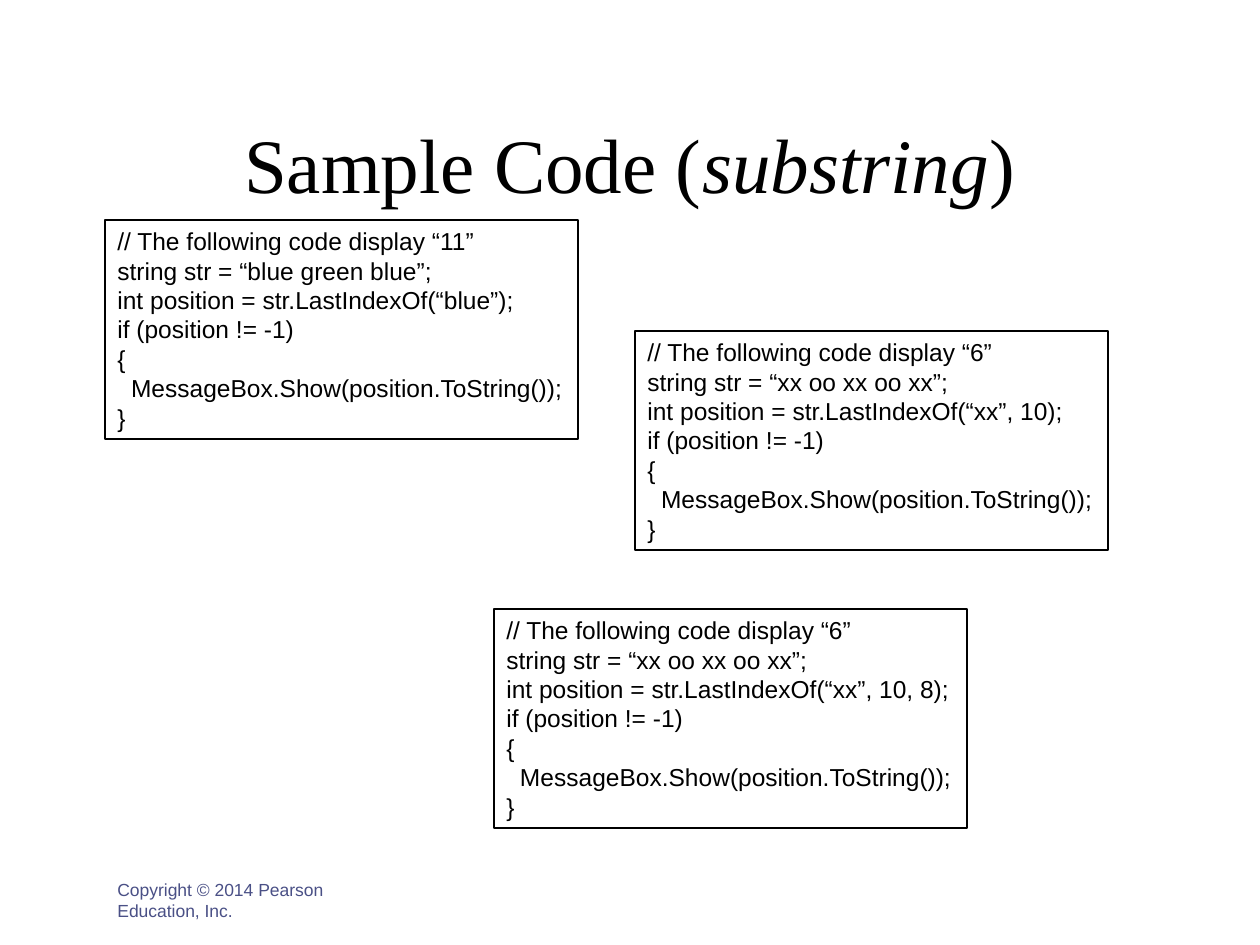
"""Build the substring sample code slide."""
from pptx import Presentation
from pptx import util as u
from pptx.dml.color import RGBColor
from pptx.enum import text

PX = u.Inches(1) / 126
COLORS = {"ink": "000000", "copyright": "4A5086"}


def px(*lengths):
    return [round(length * PX) for length in lengths]


def write(para, words, size=14, font="Arial", color="ink", italic=False):
    span = para.add_run()
    span.text = words
    span.font.size = u.Pt(size)
    span.font.name = font
    span.font.italic = italic
    span.font.color.rgb = RGBColor.from_string(COLORS[color])


deck = Presentation()
deck.slide_width, deck.slide_height = px(1260, 945)
page = deck.slides.add_slide(deck.slide_layouts[6])

title = page.shapes.add_textbox(*px(94, 84, 1071, 158)).text_frame
title.word_wrap = True
title.vertical_anchor = text.MSO_ANCHOR.MIDDLE
heading = title.paragraphs[0]
heading.alignment = text.PP_ALIGN.CENTER
for words, italic in [("Sample Code (", False), ("substring", True), (")", False)]:
    write(heading, words, size=44, font="Times New Roman", italic=italic)

footer = page.shapes.add_textbox(*px(105, 864, 273, 63)).text_frame
footer.word_wrap = True
footer.vertical_anchor = text.MSO_ANCHOR.BOTTOM
write(footer.paragraphs[0], "Copyright © 2014 Pearson Education, Inc.", size=10, color="copyright")

samples = [
    (105, 220, "11", "blue green blue", "“blue”"),
    (635, 331, "6", "xx oo xx oo xx", "“xx”, 10"),
    (494, 609, "6", "xx oo xx oo xx", "“xx”, 10, 8"),
]
for left, top, result, value, arguments in samples:
    box = page.shapes.add_textbox(*px(left, top, 473, 219))
    box.line.color.rgb = RGBColor.from_string(COLORS["ink"])
    box.line.width = u.Pt(0.75)
    frame = box.text_frame
    frame.word_wrap = False
    frame.auto_size = text.MSO_AUTO_SIZE.SHAPE_TO_FIT_TEXT
    code = [
        f"// The following code display “{result}”",
        f"string str = “{value}”;",
        f"int position = str.LastIndexOf({arguments});",
        "if (position != -1)",
        "{",
        "  MessageBox.Show(position.ToString());",
        "}",
    ]
    for number, line in enumerate(code):
        para = frame.add_paragraph() if number else frame.paragraphs[0]
        write(para, line)

deck.save("out.pptx")
